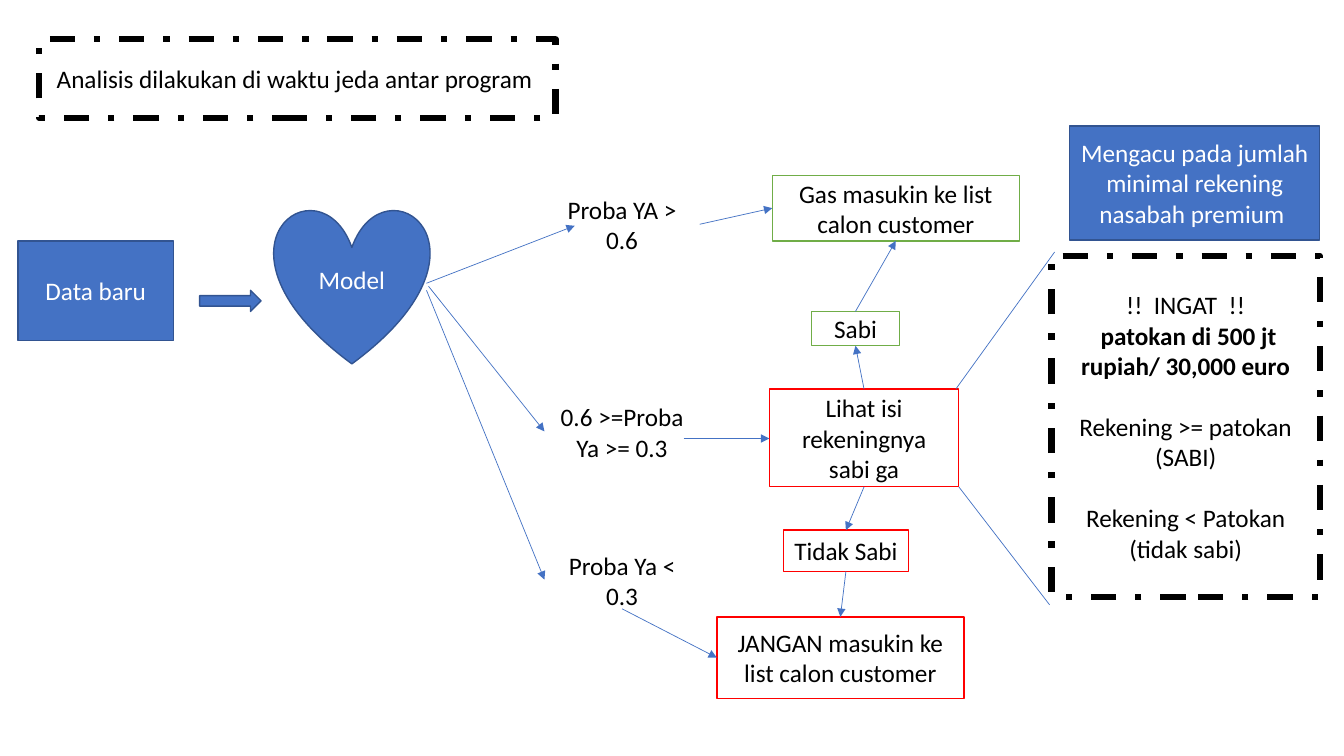
from lxml.etree import SubElement
from pptx import Presentation
from pptx.dml.color import RGBColor
from pptx.enum.dml import MSO_LINE
from pptx.enum.shapes import MSO_CONNECTOR, MSO_SHAPE
from pptx.enum.text import MSO_ANCHOR, PP_ALIGN
from pptx.oxml.ns import qn
from pptx.util import Pt

PX = 9144  # EMU per px, 100 px to the inch
COLORS = {
    "blue": "4472C4", "navy": "325491", "green": "70AD47",
    "red": "FF0000", "black": "000000", "white": "FFFFFF",
}
TOP, LEFT, BOTTOM, RIGHT = range(4)  # connection sites of a rectangle

# look: fill, line, line width in points, dash, text colour
LOOKS = {
    "solid": ("blue", "navy", 1, None, "white"),
    "note": ("white", "black", 4.5, MSO_LINE.DASH_DOT, "black"),
    "yes": ("white", "green", 1, None, "black"),
    "no": ("white", "red", 1, None, "black"),
    "plain": (None, "white", 1, None, "black"),
}

RECT, HEART, ARROW = MSO_SHAPE.RECTANGLE, MSO_SHAPE.HEART, MSO_SHAPE.RIGHT_ARROW
# name: preset, look, (left, top, width, height), paragraphs of (text, bold, points before)
NODES = {
    "reminder": (RECT, "note", (1043, 254, 266, 338), [
        ("!!  INGAT  !!", False, 0),
        (" patokan di 500 jt rupiah/ 30,000 euro", True, 0),
        ("Rekening >= patokan (SABI)", False, 22),
        ("Rekening < Patokan (tidak sabi)", False, 22),
    ]),
    "data": (RECT, "solid", (18, 239, 154, 99), [("Data baru", False, 0)]),
    "model": (HEART, "solid", (272, 207, 154, 154), [("Model", False, 0)]),
    "flow": (ARROW, "solid", (198, 288, 61, 21), []),
    "high": (RECT, "plain", (540, 194, 154, 57), [("Proba YA > 0.6", False, 0)]),
    "middle": (RECT, "plain", (540, 400, 154, 57), [("0.6 >=Proba Ya >= 0.3", False, 0)]),
    "low": (RECT, "plain", (540, 547, 154, 57), [("Proba Ya < 0.3", False, 0)]),
    "check": (RECT, "no", (763, 386, 188, 97), [("Lihat isi rekeningnya sabi ga", False, 0)]),
    "accept": (RECT, "yes", (766, 174, 245, 65), [("Gas masukin ke list calon customer", False, 0)]),
    "able": (RECT, "yes", (805, 309, 87, 34), [("Sabi", False, 0)]),
    "unable": (RECT, "no", (777, 526, 124, 41), [("Tidak Sabi", False, 0)]),
    "reject": (RECT, "no", (711, 612, 245, 81), [("JANGAN masukin ke list calon customer", False, 0)]),
    "timing": (RECT, "note", (39, 39, 512, 78), [("Analisis dilakukan di waktu jeda antar program ", False, 0)]),
    "reference": (RECT, "solid", (1061, 125, 248, 113),
                  [("Mengacu pada jumlah minimal rekening nasabah premium ", False, 0)]),
}

GLUED_ARROWS = [
    ("high", RIGHT, "accept", LEFT),
    ("check", TOP, "able", BOTTOM),
    ("able", TOP, "accept", BOTTOM),
    ("check", BOTTOM, "unable", TOP),
    ("unable", BOTTOM, "reject", TOP),
    ("low", BOTTOM, "reject", LEFT),
]
FREE_ARROWS = [
    (423, 281, 570, 224),
    (425, 284, 540, 428),
    (423, 288, 540, 575),
    (678, 435, 763, 435),
]
CALLOUT_LINES = [(948, 386, 1046, 250), (951, 483, 1041, 600)]


def rgb(name):
    return RGBColor.from_string(COLORS[name])


def add_line(ends, arrow):
    line = slide.shapes.add_connector(MSO_CONNECTOR.STRAIGHT, *[v * PX for v in ends])
    line.line.color.rgb = rgb("blue")
    line.line.width = Pt(0.5)
    if arrow:
        SubElement(line.line._get_or_add_ln(), qn("a:tailEnd"), type="triangle")
    SubElement(line._element.spPr, qn("a:effectLst"))
    return line


presentation = Presentation()
presentation.slide_width = 1333 * PX
presentation.slide_height = 750 * PX
slide = presentation.slides.add_slide(presentation.slide_layouts[6])

nodes = {}
for name, (preset, look, place, paragraphs) in NODES.items():
    fill, outline, width, dash, ink = LOOKS[look]
    node = slide.shapes.add_shape(preset, *[v * PX for v in place])
    nodes[name] = node
    node.shadow.inherit = False
    if fill:
        node.fill.solid()
        node.fill.fore_color.rgb = rgb(fill)
    else:
        node.fill.background()
    node.line.color.rgb = rgb(outline)
    node.line.width = Pt(width)
    if dash:
        node.line.dash_style = dash
    frame = node.text_frame
    frame.word_wrap = True
    frame.vertical_anchor = MSO_ANCHOR.MIDDLE
    for index, (text, bold, before) in enumerate(paragraphs):
        paragraph = frame.add_paragraph() if index else frame.paragraphs[0]
        paragraph.alignment = PP_ALIGN.CENTER
        paragraph.space_before = Pt(before)
        run = paragraph.add_run()
        run.text = text
        run.font.name = "Calibri"
        run.font.size = Pt(18)
        run.font.bold = bold
        run.font.color.rgb = rgb(ink)

for start, start_site, end, end_site in GLUED_ARROWS:
    link = add_line((0, 0, 0, 0), arrow=True)
    link.begin_connect(nodes[start], start_site)
    link.end_connect(nodes[end], end_site)
for ends in FREE_ARROWS:
    add_line(ends, arrow=True)
for ends in CALLOUT_LINES:
    add_line(ends, arrow=False)

presentation.save("out.pptx")
